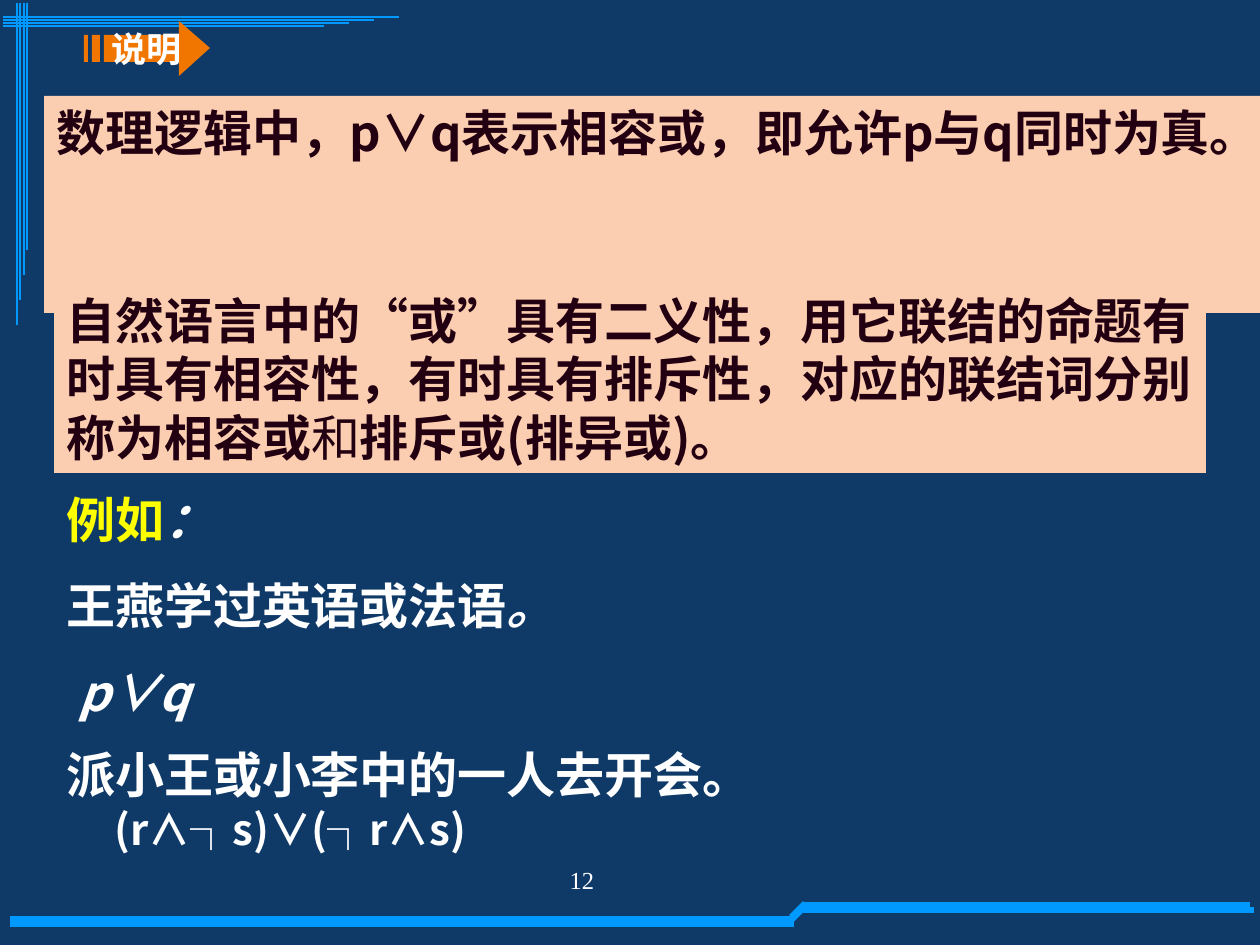
from lxml import etree
from pptx import Presentation, util as u
from pptx.dml.color import RGBColor
from pptx.enum import shapes, text
from pptx.oxml.ns import qn

NAVY = RGBColor(0x0F, 0x3A, 0x68)
BLUE = RGBColor(0x00, 0x99, 0xFF)
PEACH = RGBColor(0xFC, 0xCE, 0xB1)
DARK = RGBColor(0x22, 0x00, 0x11)
ORANGE = RGBColor(0xF0, 0x76, 0x00)
YELLOW = RGBColor(0xFF, 0xFF, 0x00)
WHITE = RGBColor(0xFF, 0xFF, 0xFF)
SANS = "Noto Sans CJK SC"
SCALE = 914400 / 126


def px(n):
    return u.Emu(round(n * SCALE))


class Deck:
    """Holds the style and the current slide; lengths are in px."""

    def __init__(self, wide, high):
        self.prs = Presentation()
        self.prs.slide_width, self.prs.slide_height = px(wide), px(high)
        self.slide = self.prs.slides.add_slide(self.prs.slide_layouts[6])
        self.slide.background.fill.solid()
        self.slide.background.fill.fore_color.rgb = NAVY

    def line(self, x1, y1, x2, y2, width):
        line = self.slide.shapes.add_connector(
            shapes.MSO_CONNECTOR.STRAIGHT, px(x1), px(y1), px(x2), px(y2))
        line.line.color.rgb = BLUE
        line.line.width = u.Pt(width)
        etree.SubElement(line._element.spPr, qn("a:effectLst"))

    def paint(self, shape, fill):
        shape.shadow.inherit = False
        shape.fill.solid()
        shape.fill.fore_color.rgb = fill
        shape.line.fill.background()

    def panel(self, x, y, w, h):
        shape = self.slide.shapes.add_shape(
            shapes.MSO_SHAPE.RECTANGLE, px(x), px(y), px(w), px(h))
        self.paint(shape, PEACH)
        return self.frame(shape)

    def outline(self, paths, fill):
        first, *rest = paths
        form = self.slide.shapes.build_freeform(*first[0], scale=SCALE)
        form.add_line_segments(first[1:], close=True)
        for path in rest:
            form.move_to(*path[0])
            form.add_line_segments(path[1:], close=True)
        shape = form.convert_to_shape()
        self.paint(shape, fill)
        return self.frame(shape, text.MSO_ANCHOR.MIDDLE)

    def box(self, x, y, w, h):
        return self.frame(self.slide.shapes.add_textbox(px(x), px(y), px(w), px(h)))

    def frame(self, shape, anchor=text.MSO_ANCHOR.TOP):
        frame = shape.text_frame
        frame.word_wrap = True
        frame.vertical_anchor = anchor
        return frame

    def para(self, frame, first=True, align=text.PP_ALIGN.LEFT, before=0,
             left=0, indent=0):
        para = frame.paragraphs[0] if first else frame.add_paragraph()
        para.alignment = align
        para.space_before = u.Pt(before)
        props = para._p.get_or_add_pPr()
        props.set("marL", str(px(left)))
        props.set("indent", str(px(indent)))
        return para

    def run(self, para, words, color, size=28, font=SANS, bold=True, italic=False):
        run = para.add_run()
        run.text = words
        style = run.font
        style.name, style.size = font, u.Pt(size)
        style.bold, style.italic = bold, italic
        style.color.rgb = color
        east = etree.SubElement(run._r.get_or_add_rPr(), qn("a:ea"))
        east.set("typeface", font)


def frames(deck):
    for ends in ((10, 919, 794, 919), (10, 924, 794, 924),
                 (791, 917, 805, 903), (790, 922, 804, 908),
                 (804, 905, 1250, 905), (803, 910, 1254, 910)):
        deck.line(*ends, 3)
    for i in range(4):
        deck.line(3, 17 + 3 * i, 399 - 25 * i, 17 + 3 * i, 0.75)
    for i in range(4):
        x = 17 + round(3.4 * i)
        deck.line(x, 3, x, 325 - 25 * i, 0.75)


def main():
    deck = Deck(1260, 945)
    frames(deck)

    center = text.PP_ALIGN.CENTER
    page = deck.box(392, 859, 294, 66)
    page.margin_left = px(98)
    deck.run(deck.para(page, align=center), "12", WHITE, 14,
             "Times New Roman", bold=False)

    rule = deck.panel(44, 96, 1216, 217)
    deck.run(deck.para(rule), "数理逻辑中，p∨q表示相容或，即允许p与q同时为真。", DARK)

    top, low = 35, 62
    head = [(179, 21), (179, top), (104, top), (104, low), (179, low),
            (179, 76), (210, 48)]
    bars = [[(a, top), (a, low), (b, low), (b, top)] for a, b in ((92, 100), (84, 88))]
    arrow = deck.outline([head, *bars], ORANGE)
    deck.run(deck.para(arrow, align=center), "说明", WHITE, 20, "Arial")

    body = deck.box(54, 483, 1071, 397)
    hang = {"left": 48, "indent": -48}
    para = deck.para(body, **hang)
    deck.run(para, "例如", YELLOW)
    deck.run(para, "：", WHITE, italic=True)
    para = deck.para(body, False, before=15.8, **hang)
    deck.run(para, "王燕学过英语或法语", WHITE)
    deck.run(para, "。", WHITE, italic=True)
    para = deck.para(body, False, before=15.8, left=48, indent=-36)
    deck.run(para, "p∨q", WHITE, italic=True)
    para = deck.para(body, False, before=13.5, **hang)
    deck.run(para, "派小王或小李中的一人去开会。", WHITE)
    para.add_line_break()
    deck.run(para, "(r∧┐s)∨(┐r∧s)", WHITE, 24)

    note = deck.panel(54, 284, 1152, 189)
    para = deck.para(note)
    deck.run(para, "自然语言中的“或”具有二义性，用它联结的命题有时具有相容性，"
                   "有时具有排斥性，对应的联结词分别称为相容或", DARK)
    deck.run(para, "和", DARK, bold=False)
    deck.run(para, "排斥或(排异或)。", DARK)

    deck.prs.save("out.pptx")


if __name__ == "__main__":
    main()
